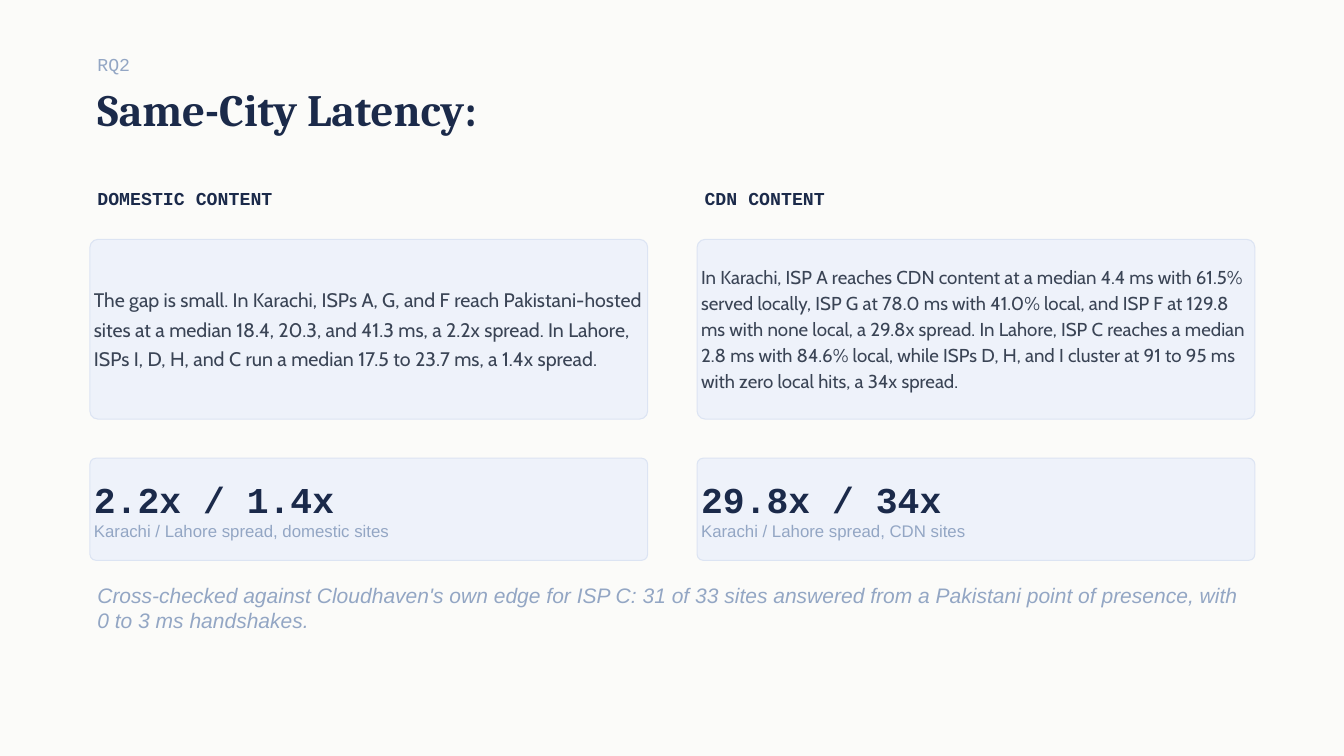
from dataclasses import dataclass

from pptx import Presentation
from pptx.dml.color import RGBColor
from pptx.enum.shapes import MSO_SHAPE
from pptx.enum.text import MSO_ANCHOR
from pptx.slide import Slide
from pptx.util import Cm, Pt

PAPER = RGBColor(0xFB, 0xFB, 0xF9)
NAVY = RGBColor(0x1B, 0x2A, 0x4A)
MUTED = RGBColor(0x93, 0xA6, 0xC4)
BODY = RGBColor(0x3A, 0x44, 0x55)
CARD_FILL = RGBColor(0xEE, 0xF2, 0xFA)
CARD_LINE = RGBColor(0xDC, 0xE4, 0xF3)

TEXT_LEFT, TEXT_WIDTH = 3.68, 43.46
CARD_LEFT, CARD_WIDTH, COLUMN_STEP = 3.4, 21.08, 22.95
CARD_INSET = 0.15


@dataclass(frozen=True)
class Style:
    font: str
    size: float
    leading: float
    color: RGBColor
    bold: bool = False
    italic: bool = False


@dataclass(frozen=True)
class Area:
    left: float
    top: float
    width: float
    height: float


@dataclass(frozen=True)
class Line:
    text: str
    style: Style


@dataclass(frozen=True)
class Column:
    heading: str
    finding: str
    finding_style: Style
    finding_top: float
    spread: str
    caption: str


EYEBROW = Style("Courier New", 19.5, 23.4, MUTED)
TITLE = Style("Cambria", 48, 57.6, NAVY, bold=True)
HEADING = Style("Courier New", 19.5, 23.4, NAVY, bold=True)
SPREAD = Style("Courier New", 39, 46.8, NAVY, bold=True)
CAPTION = Style("Arial", 18, 21.6, MUTED)
FOOTNOTE = Style("Arial", 22.5, 27, MUTED, italic=True)

COLUMNS = [
    Column(
        "DOMESTIC CONTENT",
        "The gap is small. In Karachi, ISPs A, G, and F reach Pakistani-hosted sites "
        "at a median 18.4, 20.3, and 41.3 ms, a 2.2x spread. In Lahore, ISPs I, D, H, "
        "and C run a median 17.5 to 23.7 ms, a 1.4x spread.",
        Style("Cabin", 21, 31.5, BODY),
        8.84,
        "2.2x / 1.4x",
        "Karachi / Lahore spread, domestic sites",
    ),
    Column(
        "CDN CONTENT",
        "In Karachi, ISP A reaches CDN content at a median 4.4 ms with 61.5% served "
        "locally, ISP G at 78.0 ms with 41.0% local, and ISP F at 129.8 ms with none "
        "local, a 29.8x spread. In Lahore, ISP C reaches a median 2.8 ms with 84.6% "
        "local, while ISPs D, H, and I cluster at 91 to 95 ms with zero local hits, "
        "a 34x spread.",
        Style("Cabin", 20, 28, BODY),
        8.89,
        "29.8x / 34x",
        "Karachi / Lahore spread, CDN sites",
    ),
]


def add_text(page: Slide, area: Area, lines: list[Line], inset: float = 0,
             anchor: MSO_ANCHOR = MSO_ANCHOR.TOP) -> None:
    """Place a wrapping text box with one paragraph per line."""
    box = page.shapes.add_textbox(Cm(area.left), Cm(area.top), Cm(area.width), Cm(area.height))
    frame = box.text_frame
    frame.word_wrap = True
    frame.vertical_anchor = anchor
    frame.margin_left = frame.margin_right = Cm(inset)
    frame.margin_top = frame.margin_bottom = Cm(inset)
    for index, line in enumerate(lines):
        para = frame.add_paragraph() if index else frame.paragraphs[0]
        para.line_spacing = Pt(line.style.leading)
        span = para.add_run()
        span.text = line.text
        span.font.name = line.style.font
        span.font.size = Pt(line.style.size)
        span.font.color.rgb = line.style.color
        span.font.bold = line.style.bold
        span.font.italic = line.style.italic


def add_card(page: Slide, area: Area, radius: float) -> None:
    """Draw a pale rounded card."""
    card = page.shapes.add_shape(MSO_SHAPE.ROUNDED_RECTANGLE, Cm(area.left), Cm(area.top),
                                 Cm(area.width), Cm(area.height))
    card.adjustments[0] = radius / area.height
    card.shadow.inherit = False
    card.fill.solid()
    card.fill.fore_color.rgb = CARD_FILL
    card.line.color.rgb = CARD_LINE
    card.line.width = Pt(1.13)


def add_column(page: Slide, column: Column, offset: float) -> None:
    """Draw a heading, its finding card and its spread card."""
    left = CARD_LEFT + offset
    finding = Area(left, 9.05, CARD_WIDTH, 6.79)
    finding_text = Area(left, column.finding_top, CARD_WIDTH,
                        finding.top + finding.height - column.finding_top)
    spread = Area(left, 17.32, CARD_WIDTH, 3.86)
    add_text(page, Area(TEXT_LEFT + offset, 7.09, 20.52, 0.84), [Line(column.heading, HEADING)])
    add_card(page, finding, 0.3)
    add_text(page, finding_text, [Line(column.finding, column.finding_style)],
             CARD_INSET, MSO_ANCHOR.MIDDLE)
    add_card(page, spread, 0.23)
    add_text(page, spread, [Line(column.spread, SPREAD), Line(column.caption, CAPTION)],
             CARD_INSET, MSO_ANCHOR.MIDDLE)


def main() -> None:
    """Build and save the latency slide."""
    deck = Presentation()
    deck.slide_width, deck.slide_height = Cm(50.8), Cm(28.575)
    page = deck.slides.add_slide(deck.slide_layouts[6])
    page.background.fill.solid()
    page.background.fill.fore_color.rgb = PAPER

    add_text(page, Area(TEXT_LEFT, 2.01, 16.66, 0.99), [Line("RQ2", EYEBROW)])
    add_text(page, Area(TEXT_LEFT, 3.1, TEXT_WIDTH, 2.62), [Line("Same-City Latency:", TITLE)])
    for index, column in enumerate(COLUMNS):
        add_column(page, column, index * COLUMN_STEP)
    footnote = ("Cross-checked against Cloudhaven's own edge for ISP C: 31 of 33 sites answered "
                "from a Pakistani point of presence, with 0 to 3 ms handshakes.")
    add_text(page, Area(TEXT_LEFT, 22, TEXT_WIDTH, 1.96), [Line(footnote, FOOTNOTE)])

    deck.save("out.pptx")


if __name__ == "__main__":
    main()
